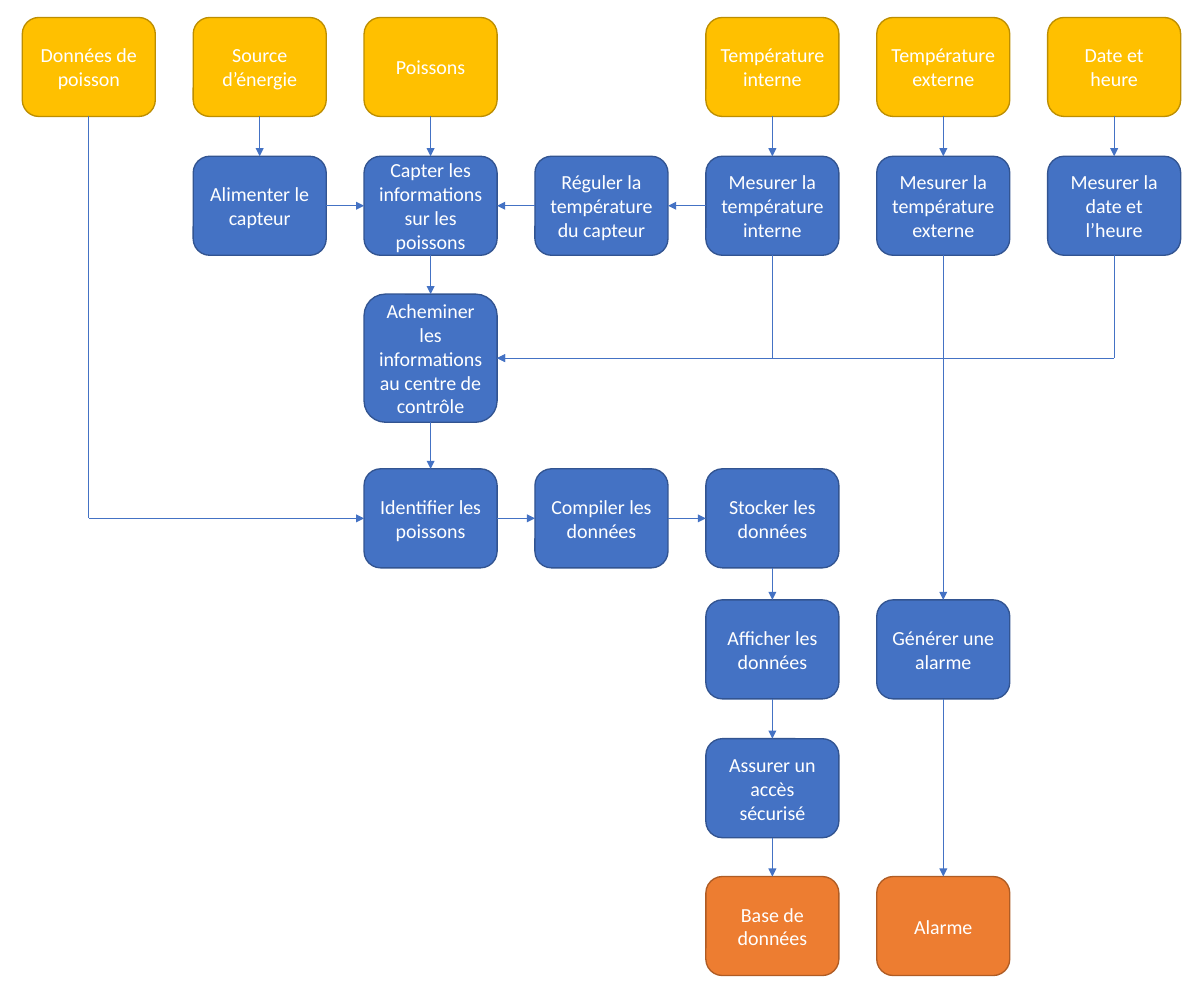
"""Draw the functional flowchart of a fish monitoring system."""
from typing import NamedTuple

from lxml.etree import SubElement
from pptx import Presentation
from pptx.dml.color import RGBColor
from pptx.enum.shapes import MSO_CONNECTOR, MSO_SHAPE
from pptx.enum.text import MSO_ANCHOR, PP_ALIGN
from pptx.oxml.ns import qn
from pptx.shapes.autoshape import Shape
from pptx.shapes.connector import Connector
from pptx.util import Inches, Pt

COLORS = {
    "input": "FFC000", "input_edge": "BD8E00",
    "function": "4472C4", "function_edge": "325491",
    "output": "ED7D31", "output_edge": "AF5C24",
    "flow": "4472C4", "label": "FFFFFF",
}
FONT = "Calibri"
LEFT_MARGIN, COLUMN_PITCH, STEP_WIDTH = 0.23, 1.76, 1.37
ROW_TOPS = (0.18, 1.61, 3.03, 4.83, 6.18, 7.61, 9.03)
STEP_HEIGHT, TALL_HEIGHT, TALL_ROW = 1.02, 1.32, 2
TOP, LEFT, BOTTOM, RIGHT = range(4)


class Cell(NamedTuple):
    """Column and row of the grid."""
    column: int
    row: int


class Step(NamedTuple):
    """One box of the flowchart."""
    cell: Cell
    label: str
    role: str = "function"


class Flow(NamedTuple):
    """An arrow between two steps of one column or one row."""
    source: Cell
    target: Cell


STEPS = (
    Step(Cell(0, 0), "Données de poisson", "input"),
    Step(Cell(1, 0), "Source d’énergie", "input"),
    Step(Cell(2, 0), "Poissons", "input"),
    Step(Cell(4, 0), "Température interne", "input"),
    Step(Cell(5, 0), "Température externe", "input"),
    Step(Cell(6, 0), "Date et heure", "input"),
    Step(Cell(1, 1), "Alimenter le capteur"),
    Step(Cell(2, 1), "Capter les informations sur les poissons"),
    Step(Cell(3, 1), "Réguler la température du capteur"),
    Step(Cell(4, 1), "Mesurer la température interne"),
    Step(Cell(5, 1), "Mesurer la température externe"),
    Step(Cell(6, 1), "Mesurer la date et l’heure"),
    Step(Cell(2, 2), "Acheminer les informations au centre de contrôle"),
    Step(Cell(2, 3), "Identifier les poissons"),
    Step(Cell(3, 3), "Compiler les données"),
    Step(Cell(4, 3), "Stocker les données"),
    Step(Cell(4, 4), "Afficher les données"),
    Step(Cell(5, 4), "Générer une alarme"),
    Step(Cell(4, 5), "Assurer un accès sécurisé"),
    Step(Cell(4, 6), "Base de données", "output"),
    Step(Cell(5, 6), "Alarme", "output"),
)
ROUTES = (
    (Cell(1, 0), Cell(1, 1), Cell(2, 1)),
    (Cell(2, 0), Cell(2, 1), Cell(2, 2), Cell(2, 3), Cell(3, 3), Cell(4, 3),
     Cell(4, 4), Cell(4, 5), Cell(4, 6)),
    (Cell(4, 0), Cell(4, 1), Cell(3, 1), Cell(2, 1)),
    (Cell(5, 0), Cell(5, 1), Cell(5, 4), Cell(5, 6)),
    (Cell(6, 0), Cell(6, 1)),
)
FLOWS = [Flow(*pair) for route in ROUTES for pair in zip(route, route[1:])]
MERGES = (
    Flow(Cell(4, 1), Cell(2, 2)),
    Flow(Cell(6, 1), Cell(2, 2)),
    Flow(Cell(0, 0), Cell(2, 3)),
)


def color(name: str) -> RGBColor:
    """Return the named colour."""
    return RGBColor.from_string(COLORS[name])


def draw_step(step: Step) -> Shape:
    """Draw a rounded box with its label in its grid cell."""
    column, row = step.cell
    box = slide.shapes.add_shape(
        MSO_SHAPE.ROUNDED_RECTANGLE,
        Inches(LEFT_MARGIN + column * COLUMN_PITCH), Inches(ROW_TOPS[row]),
        Inches(STEP_WIDTH), Inches(TALL_HEIGHT if row == TALL_ROW else STEP_HEIGHT))
    box.shadow.inherit = False
    box.fill.solid()
    box.fill.fore_color.rgb = color(step.role)
    box.line.color.rgb = color(f"{step.role}_edge")
    box.line.width = Pt(1)
    frame = box.text_frame
    frame.word_wrap = True
    frame.vertical_anchor = MSO_ANCHOR.MIDDLE
    frame.margin_left = frame.margin_right = Inches(0.08)
    frame.margin_top = frame.margin_bottom = Inches(0.04)
    frame.text = step.label
    paragraph = frame.paragraphs[0]
    paragraph.alignment = PP_ALIGN.CENTER
    font = paragraph.runs[0].font
    font.name, font.size = FONT, Pt(14.8)
    font.color.rgb = color("label")
    return box


def draw_line(start: tuple[int, int], end: tuple[int, int], arrow: bool) -> Connector:
    """Draw a thin straight line, with an arrowhead at its end if wanted."""
    line = slide.shapes.add_connector(MSO_CONNECTOR.STRAIGHT, *start, *end)
    line.line.color.rgb = color("flow")
    line.line.width = Pt(0.5)
    if arrow:
        SubElement(line.line._get_or_add_ln(), qn("a:tailEnd"), type="triangle")
    SubElement(line._element.spPr, qn("a:effectLst"))
    return line


def draw_flow(flow: Flow) -> None:
    """Join the facing sides of two steps with an arrow."""
    if flow.source.column == flow.target.column:
        sides = BOTTOM, TOP
    elif flow.source.column < flow.target.column:
        sides = RIGHT, LEFT
    else:
        sides = LEFT, RIGHT
    arrow = draw_line((0, 0), (0, 0), arrow=True)
    arrow.begin_connect(boxes[flow.source], sides[0])
    arrow.end_connect(boxes[flow.target], sides[1])


def draw_merge(flow: Flow) -> None:
    """Drop a line from the source, then run an arrow sideways to the target."""
    source, target = boxes[flow.source], boxes[flow.target]
    corner = source.left + source.width // 2, target.top + target.height // 2
    drop = draw_line(corner, corner, arrow=False)
    drop.begin_connect(source, BOTTOM)
    arrow = draw_line(corner, corner, arrow=True)
    arrow.end_connect(target, LEFT if flow.source.column < flow.target.column else RIGHT)


presentation = Presentation()
presentation.slide_width, presentation.slide_height = Inches(12.4), Inches(10.24)
slide = presentation.slides.add_slide(presentation.slide_layouts[6])
boxes = {step.cell: draw_step(step) for step in STEPS}
for direct in FLOWS:
    draw_flow(direct)
for merge in MERGES:
    draw_merge(merge)
presentation.save("out.pptx")
